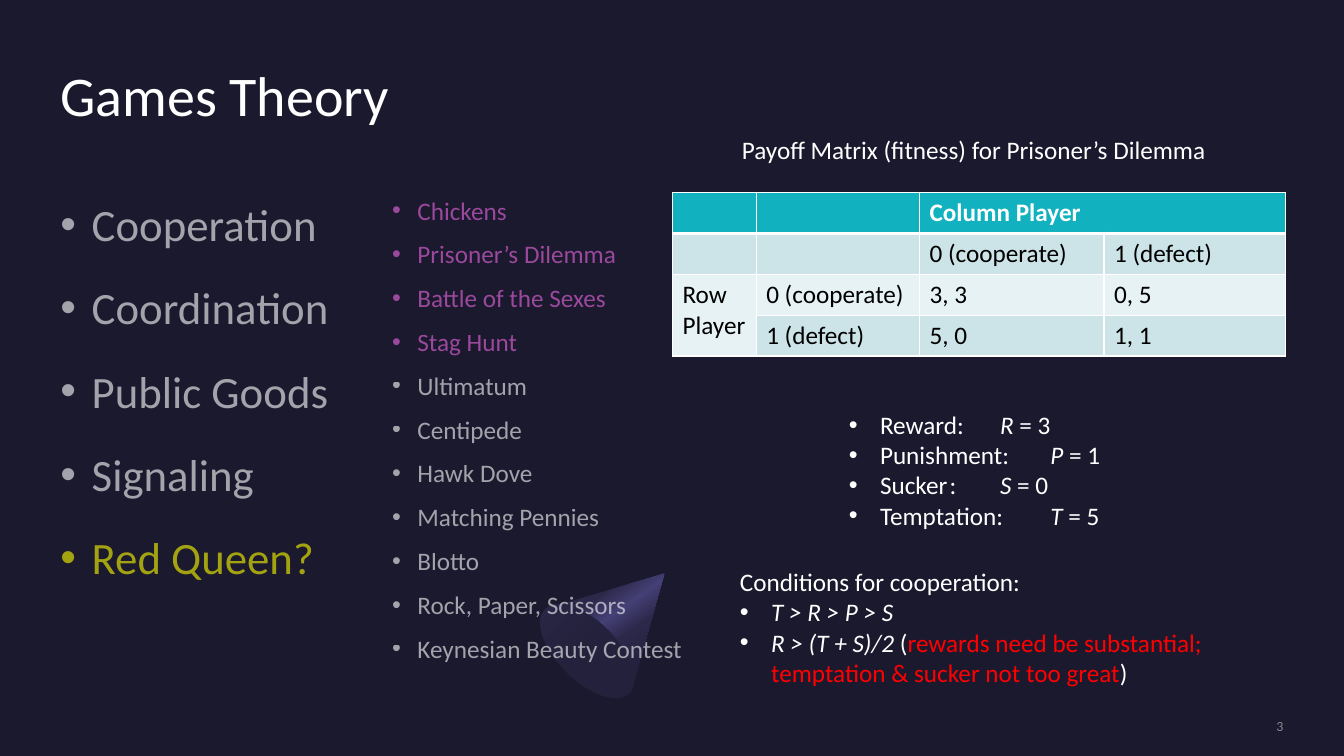
from collections import namedtuple

from lxml import etree
from pptx import Presentation
from pptx import util as u
from pptx.dml.color import RGBColor
from pptx.enum import shapes, text
from pptx.oxml import parse_xml
from pptx.oxml.ns import nsdecls, qn

Box = namedtuple("Box", "left top width height")

FONT = "Calibri"
COLORS = {
    "night": "1B192E", "white": "FFFFFF", "black": "000000",
    "pink": "F169E7", "yellow": "FFFF00", "red": "FF0000", "gray": "A6A6A6",
    "teal": "12B1BF", "band": "CCE4E8", "pale": "E7F2F4",
    "indigo": "2C284A", "violet": "454075", "shade": "23213C",
}
MARGIN = 0.6
BODY_TOP = 1.91
BODY_HEIGHT = 4.75


def inches(box):
    return [u.Inches(length) for length in box]


def add_text(paragraph, content, size=18, color="white", alpha=100, bold=False, italic=False):
    run = paragraph.add_run()
    run.text = content
    font = run.font
    font.name, font.size, font.bold, font.italic = FONT, u.Pt(size), bold, italic
    font.color.rgb = RGBColor.from_string(COLORS[color])
    if alpha < 100:
        tint = run._r.rPr.find(qn("a:solidFill"))[0]
        etree.SubElement(tint, qn("a:alpha"), val=str(alpha * 1000))


def prepare_frame(frame, inset=0.0, anchor=text.MSO_ANCHOR.TOP):
    frame.word_wrap = True
    frame.auto_size = text.MSO_AUTO_SIZE.NONE
    frame.vertical_anchor = anchor
    frame.margin_left = frame.margin_right = u.Inches(inset)
    frame.margin_top = frame.margin_bottom = u.Inches(inset / 2)
    return frame


def add_frame(slide, box, **options):
    return prepare_frame(slide.shapes.add_textbox(*inches(box)).text_frame, **options)


def next_paragraph(frame):
    first = frame.paragraphs[0]
    return frame.add_paragraph() if first.runs else first


def add_bullet(paragraph, indent):
    properties = paragraph._p.get_or_add_pPr()
    properties.set("marL", str(u.Inches(indent)))
    properties.set("indent", str(-u.Inches(indent)))
    etree.SubElement(properties, qn("a:buFont"), typeface="Arial")
    etree.SubElement(properties, qn("a:buChar"), char="•")


def fill_gradient(shape, stops, angle):
    shape.shadow.inherit = False
    shape.line.fill.background()
    marks = "".join(
        f'<a:gs pos="{position * 1000}"><a:srgbClr val="{COLORS[color]}"/></a:gs>'
        for position, color in stops)
    shape._element.spPr.find(qn("a:ln")).addprevious(parse_xml(
        f'<a:gradFill rotWithShape="1" {nsdecls("a")}><a:gsLst>{marks}</a:gsLst>'
        f'<a:lin ang="{angle * 60000}" scaled="0"/></a:gradFill>'))


def draw_cone(slide, box):
    right, bottom = box.left + box.width, box.top + box.height
    outline = [(right, box.top), (right - 0.32, bottom - 0.01), (box.left, box.top + 0.35)]
    points = [(u.Inches(x), u.Inches(y)) for x, y in outline]
    builder = slide.shapes.build_freeform(*points[0])
    builder.add_line_segments(points[1:], close=True)
    fill_gradient(builder.convert_to_shape(),
                  [(30, "indigo"), (45, "violet"), (60, "indigo"), (100, "night")], 55)
    base = slide.shapes.add_shape(
        shapes.MSO_SHAPE.OVAL, *inches((box.left + 0.12, box.top + 0.18, 0.59, 1.18)))
    base.rotation = 135
    fill_gradient(base, [(50, "shade"), (100, "indigo")], 90)


def place_title(slide, box):
    title = slide.shapes.title
    title.left, title.top, title.width, title.height = inches(box)
    paragraph = prepare_frame(title.text_frame).paragraphs[0]
    paragraph.alignment = text.PP_ALIGN.LEFT
    add_text(paragraph, "Games Theory", size=40)


def list_topics(slide, box, topics, size, indent, before=0):
    frame = add_frame(slide, box)
    for topic, color in topics:
        paragraph = next_paragraph(frame)
        paragraph.line_spacing = 1.08
        paragraph.space_before, paragraph.space_after = u.Pt(before), u.Pt(8)
        add_bullet(paragraph, indent)
        add_text(paragraph, topic, size=size, color=color, alpha=60)


def set_borders(cell, bottom):
    properties = cell._tc.get_or_add_tcPr()
    for side, width in (("L", 1), ("R", 1), ("T", 1), ("B", bottom)):
        line = etree.SubElement(properties, qn(f"a:ln{side}"), w=str(u.Pt(width)))
        solid = etree.SubElement(line, qn("a:solidFill"))
        etree.SubElement(solid, qn("a:srgbClr"), val=COLORS["white"])


def add_payoff_matrix(slide, box):
    caption = add_frame(slide, Box(box.left + 0.59, box.top - 0.63, 4.9, 0.4), inset=0.1)
    add_text(caption.paragraphs[0], "Payoff Matrix (fitness) for Prisoner’s Dilemma")

    rows = [
        ["", "", "Column Player", ""],
        ["", "", "0 (cooperate)", "1 (defect)"],
        ["Row\nPlayer", "0 (cooperate)", "3, 3", "0, 5"],
        ["", "1 (defect)", "5, 0", "1, 1"],
    ]
    fills = ["teal", "band", "pale", "band"]
    table = slide.shapes.add_table(len(rows), len(rows[0]), *inches(box)).table
    for column, width in zip(table.columns, (0.83, 1.62, 1.83, 1.8)):
        column.width = u.Inches(width)
    table.cell(0, 2).merge(table.cell(0, 3))
    table.cell(2, 0).merge(table.cell(3, 0))
    for r, (row, fill) in enumerate(zip(rows, fills)):
        header = r == 0
        table.rows[r].height = u.Inches(box.height / len(rows))
        for c, content in enumerate(row):
            cell = table.cell(r, c)
            set_borders(cell, bottom=3 if header else 1)
            cell.fill.solid()
            cell.fill.fore_color.rgb = RGBColor.from_string(
                COLORS["pale" if (r, c) == (3, 0) else fill])
            for line in content.split("\n") if content else []:
                add_text(next_paragraph(cell.text_frame), line,
                         color="white" if header else "black", bold=header)


def list_payoffs(slide, box):
    frame = add_frame(slide, box, inset=0.1)
    for label, symbol, value in [
            ("Reward:\t", "R", " = 3"), ("Punishment:\t", "P", " = 1"),
            ("Sucker\t:\t", "S ", "= 0"), ("Temptation:\t", "T", " = 5")]:
        paragraph = next_paragraph(frame)
        add_bullet(paragraph, 0.31)
        add_text(paragraph, label)
        add_text(paragraph, symbol, italic=True)
        add_text(paragraph, value)


def list_conditions(slide, box):
    frame = add_frame(slide, box, inset=0.1)
    add_text(frame.paragraphs[0], "Conditions for cooperation:")
    order, reward = next_paragraph(frame), next_paragraph(frame)
    if order is reward:
        reward = frame.add_paragraph()
    for paragraph, formula in ((order, "T > R > P > S"), (reward, "R > (T + S)/2 ")):
        add_bullet(paragraph, 0.31)
        add_text(paragraph, formula, italic=True)
    add_text(reward, "(")
    add_text(reward, "rewards need be substantial; temptation & sucker not too great", color="red")
    add_text(reward, ")")


def add_page_number(slide, box):
    paragraph = add_frame(slide, box, anchor=text.MSO_ANCHOR.MIDDLE).paragraphs[0]
    paragraph.alignment = text.PP_ALIGN.RIGHT
    add_text(paragraph, "3", size=10, color="gray", alpha=80)


def main():
    presentation = Presentation()
    presentation.slide_width, presentation.slide_height = u.Inches(13.33), u.Inches(7.5)
    slide = presentation.slides.add_slide(presentation.slide_layouts[5])
    slide.background.fill.solid()
    slide.background.fill.fore_color.rgb = RGBColor.from_string(COLORS["night"])

    themes = [(name, "white") for name in
              ("Cooperation", "Coordination", "Public Goods", "Signaling")]
    themes.append(("Red Queen?", "yellow"))
    games = [(name, "pink") for name in
             ("Chickens", "Prisoner’s Dilemma", "Battle of the Sexes", "Stag Hunt")]
    games += [(name, "white") for name in
              ("Ultimatum", "Centipede", "Hawk Dove", "Matching Pennies", "Blotto",
               "Rock, Paper, Scissors", "Keynesian Beauty Contest")]

    draw_cone(slide, Box(5.41, 5.69, 1.18, 1.14))
    place_title(slide, Box(MARGIN, 0.6, 4.49, 1.08))
    list_topics(slide, Box(3.89, BODY_TOP, 3.27, BODY_HEIGHT), games, 18, 0.25)
    list_topics(slide, Box(MARGIN, BODY_TOP, 3.07, BODY_HEIGHT), themes, 32, 0.31, before=10)
    add_page_number(slide, Box(10.88, 7.12, 1.85, 0.17))
    add_payoff_matrix(slide, Box(6.67, BODY_TOP, 6.08, 1.62))
    list_payoffs(slide, Box(8.32, 4.01, 2.77, 1.31))
    list_conditions(slide, Box(7.24, 5.57, 5.43, 1.31))
    presentation.save("out.pptx")


if __name__ == "__main__":
    main()
